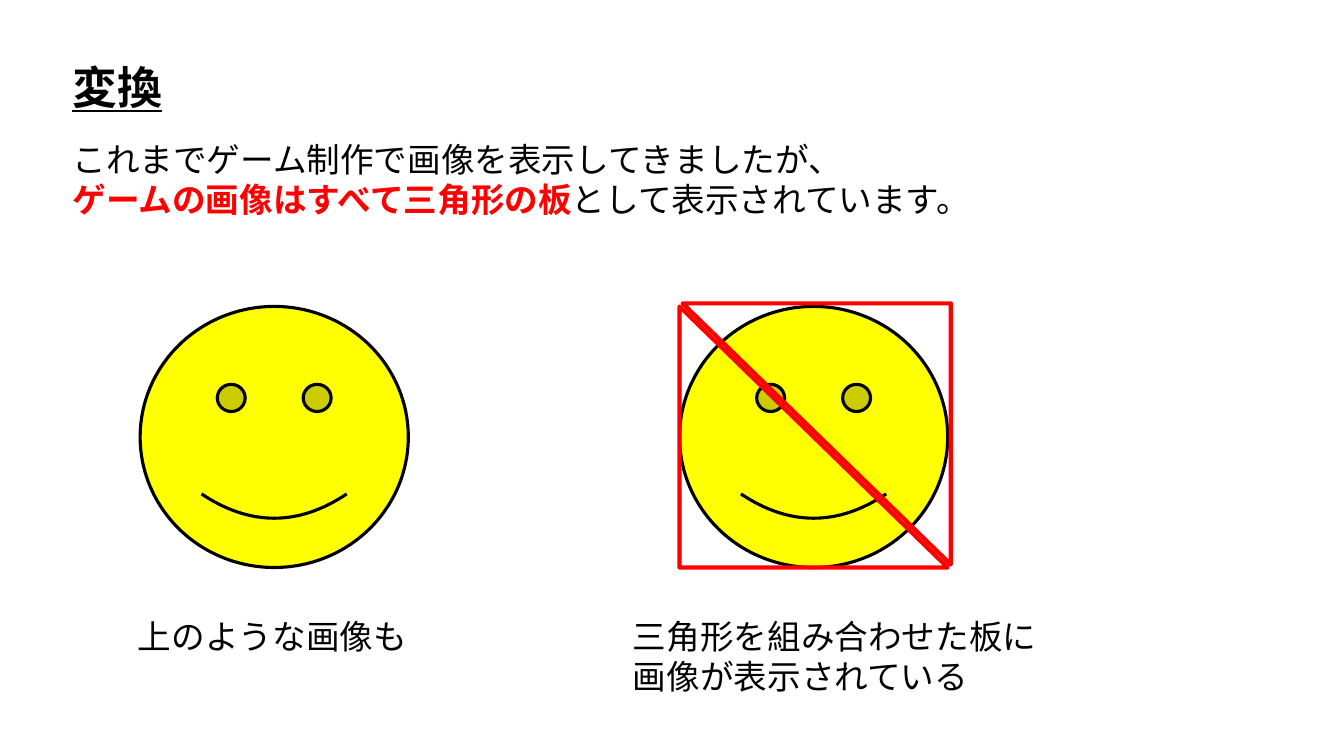
from lxml.etree import SubElement
from pptx import Presentation
from pptx.dml.color import RGBColor
from pptx.enum.shapes import MSO_SHAPE as Shape
from pptx.enum.text import MSO_AUTO_SIZE as AutoSize
from pptx.oxml.ns import qn
from pptx.util import Pt

PX = 9144  # EMU; 100 px to the inch
FONT = "Noto Sans CJK JP"
COLORS = {"black": "000000", "red": "FF0000", "yellow": "FFFF00"}
FACE_TOP, FACE_WIDTH, FACE_HEIGHT = 304, 266, 259
LEFT_FACE, RIGHT_FACE = 139, 674
CAPTION_TOP = 606


def color(name):
    return RGBColor.from_string(COLORS[name])


def add_text(slide, box, lines, size=24, bold=False, underline=None):
    """Write one paragraph per line; a line is a list of (text, is_key_phrase)."""
    shape = slide.shapes.add_textbox(*(length * PX for length in box))
    frame = shape.text_frame
    frame.word_wrap = False
    frame.auto_size = AutoSize.SHAPE_TO_FIT_TEXT
    for index, line in enumerate(lines):
        paragraph = frame.add_paragraph() if index else frame.paragraphs[0]
        font = paragraph.font
        font.name, font.size = FONT, Pt(size)
        font.bold, font.underline = bold, underline
        font.color.rgb = color("black")
        defaults = paragraph._p.pPr.find(qn("a:defRPr"))
        SubElement(defaults, qn("a:ea"), typeface=FONT)
        for text, is_key_phrase in line:
            run = paragraph.add_run()
            run.text = text
            if is_key_phrase:
                run.font.bold = True
                run.font.color.rgb = color("red")


def add_outlined(slide, kind, left, top, line, width, fill=None, rotation=0):
    shape = slide.shapes.add_shape(
        kind, left * PX, top * PX, FACE_WIDTH * PX, FACE_HEIGHT * PX)
    shape.shadow.inherit = False
    shape.rotation = rotation
    shape.line.color.rgb = color(line)
    shape.line.width = Pt(width)
    if fill:
        shape.fill.solid()
        shape.fill.fore_color.rgb = color(fill)
    else:
        shape.fill.background()


def add_face(slide, left):
    add_outlined(slide, Shape.SMILEY_FACE, left, FACE_TOP, "black", 2.25, "yellow")


def add_triangle_pair(slide, left, top, offset=3):
    """Two right triangles, slightly apart, that make up a rectangular board."""
    add_outlined(slide, Shape.RIGHT_TRIANGLE, left, top, "red", 3)
    add_outlined(slide, Shape.RIGHT_TRIANGLE, left + offset, top - offset,
                 "red", 3, rotation=180)


def main():
    presentation = Presentation()
    presentation.slide_width, presentation.slide_height = 1333 * PX, 750 * PX
    slide = presentation.slides.add_slide(presentation.slide_layouts[6])

    add_text(slide, (62, 54, 110, 64), [[("変換", False)]],
             size=32, bold=True, underline=True)
    add_text(slide, (62, 133, 929, 91), [
        [("これまでゲーム制作で画像を表示してきましたが、", False)],
        [("ゲームの画像はすべて三角形の板", True),
         ("として表示されています。", False)],
    ])
    for left in (LEFT_FACE, RIGHT_FACE):
        add_face(slide, left)
    add_triangle_pair(slide, RIGHT_FACE, FACE_TOP)
    add_text(slide, (127, CAPTION_TOP, 289, 50), [[("上のような画像も", False)]])
    add_text(slide, (618, CAPTION_TOP, 424, 91), [
        [("三角形を組み合わせた板に", False)],
        [("画像が表示されている", False)],
    ])
    presentation.save("out.pptx")


if __name__ == "__main__":
    main()
